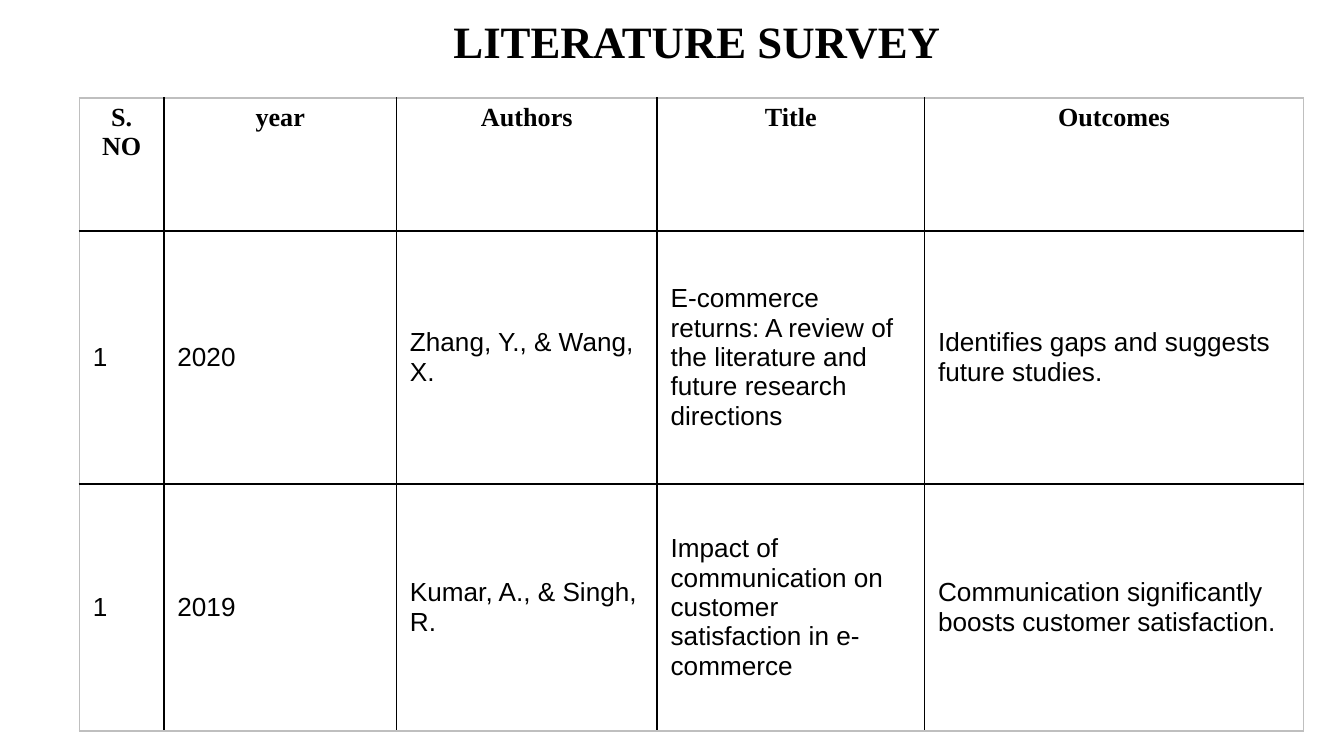
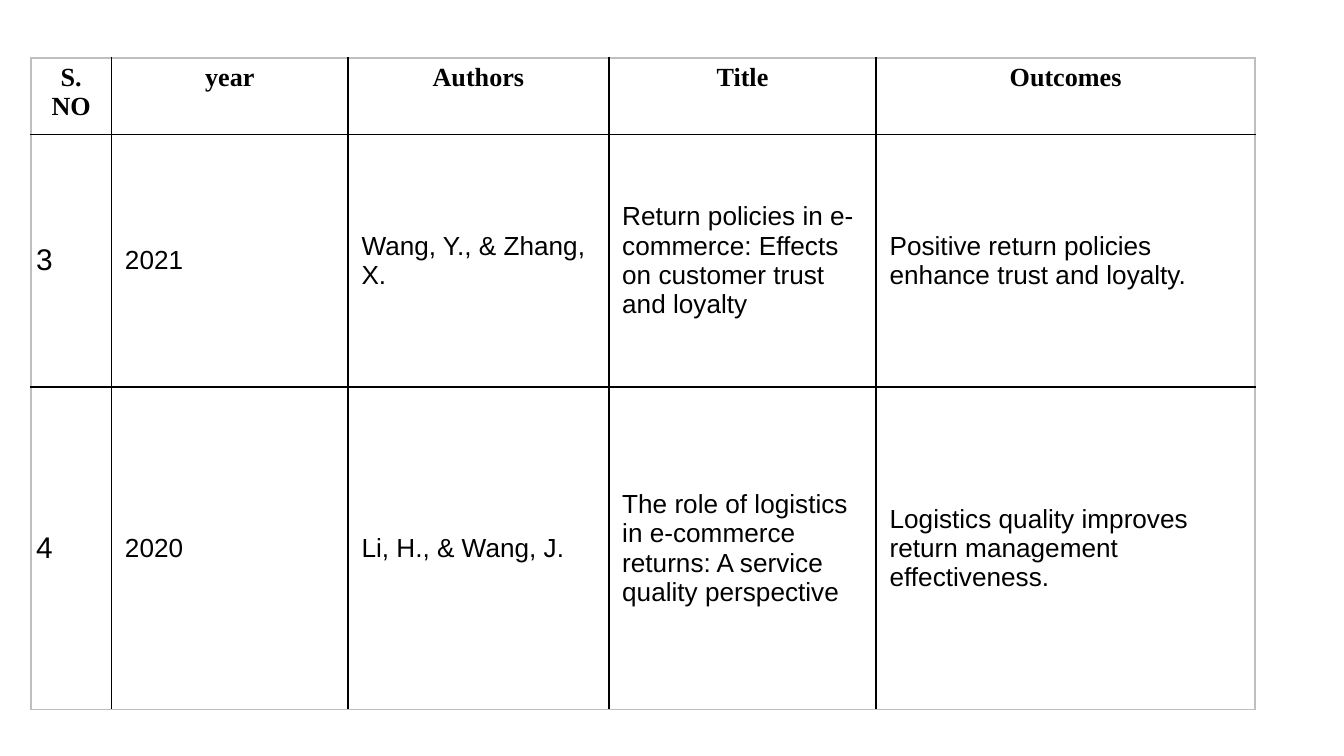
from lxml.etree import SubElement
from pptx import Presentation
from pptx.dml.color import RGBColor
from pptx.enum.text import MSO_ANCHOR, MSO_AUTO_SIZE, PP_ALIGN
from pptx.oxml.ns import qn
from pptx.util import Inches, Pt

COLORS = {"text": "000000", "grid": "000000", "frame": "BFBFBF"}
HEADING_FONT, BODY_FONT = "Times New Roman", "Arial"
HEADINGS = ["S. NO", "year", "Authors", "Title", "Outcomes"]
TITLE_ONLY, BLANK = 5, 6

FIRST_STUDIES = [
    ["1", "2020", "Zhang, Y., & Wang, X.",
     "E-commerce returns: A review of the literature and future research directions",
     "Identifies gaps and suggests future studies."],
    ["1", "2019", "Kumar, A., & Singh, R.",
     "Impact of communication on customer satisfaction in e-commerce",
     "Communication significantly boosts customer satisfaction."],
]
MORE_STUDIES = [
    ["3", "2021", "Wang, Y., & Zhang, X.",
     "Return policies in e-commerce: Effects on customer trust and loyalty",
     "Positive return policies enhance trust and loyalty."],
    ["4", "2020", "Li, H., & Wang, J.",
     "The role of logistics in e-commerce returns: A service quality perspective",
     "Logistics quality improves return management effectiveness."],
]


def write(frame, text, size=14, font=BODY_FONT, bold=False, align=PP_ALIGN.LEFT):
    paragraph = frame.paragraphs[0]
    paragraph.alignment = align
    run = paragraph.add_run()
    run.text = text
    run.font.size, run.font.name, run.font.bold = Pt(size), font, bold
    run.font.color.rgb = RGBColor.from_string(COLORS["text"])


def set_margins(cell, side, top):
    cell.margin_left = cell.margin_right = Inches(side)
    cell.margin_top = cell.margin_bottom = Inches(top)


def draw_borders(cell, outer_sides):
    """Rule all four sides of a cell, in the frame colour where it meets the table edge."""
    properties = cell._tc.get_or_add_tcPr()
    for side in "LRTB":
        line = SubElement(properties, qn(f"a:ln{side}"), w=str(Pt(1)))
        fill = SubElement(line, qn("a:solidFill"))
        color = COLORS["frame" if side in outer_sides else "grid"]
        SubElement(fill, qn("a:srgbClr"), val=color)
    cell.fill.background()


def add_title(slide, text, left, top, width, height):
    title = slide.shapes.title
    title.left, title.top = Inches(left), Inches(top)
    title.width, title.height = Inches(width), Inches(height)
    frame = title.text_frame
    frame.word_wrap = True
    frame.auto_size = MSO_AUTO_SIZE.NONE
    frame.vertical_anchor = MSO_ANCHOR.TOP
    # Optical offset of the heading inside its box
    frame.margin_left, frame.margin_top = Inches(0.19), Inches(0.1)
    write(frame, text, size=24, font=HEADING_FONT, bold=True, align=PP_ALIGN.CENTER)


def add_survey_table(slide, studies, left, top, widths, heights,
                     number_size=14, number_margins=(0.1, 0.05)):
    rows = [HEADINGS] + studies
    table = slide.shapes.add_table(
        len(rows), len(HEADINGS), Inches(left), Inches(top),
        Inches(sum(widths)), Inches(sum(heights))).table
    table.first_row = table.horz_banding = False
    for column, width in zip(table.columns, widths):
        column.width = Inches(width)
    for row, height in zip(table.rows, heights):
        row.height = Inches(height)

    last_row, last_column = len(rows) - 1, len(HEADINGS) - 1
    for r, values in enumerate(rows):
        for c, value in enumerate(values):
            cell = table.cell(r, c)
            edges = {"L": c == 0, "R": c == last_column, "T": r == 0, "B": r == last_row}
            draw_borders(cell, [side for side, outer in edges.items() if outer])
            # Heading row
            if r == 0:
                set_margins(cell, 0.08, 0.04)
                cell.vertical_anchor = MSO_ANCHOR.TOP
                write(cell.text_frame, value, font=HEADING_FONT, bold=True,
                      align=PP_ALIGN.CENTER)
                continue
            # Study rows, with the serial number in the first column
            set_margins(cell, *(number_margins if c == 0 else (0.1, 0.05)))
            cell.vertical_anchor = MSO_ANCHOR.MIDDLE
            write(cell.text_frame, value, size=number_size if c == 0 else 14)


def main():
    deck = Presentation()
    # Widescreen, 16:9
    deck.slide_width = Inches(10)
    deck.slide_height = Inches(10 * 9 / 16)

    # Opening survey slide
    opening = deck.slides.add_slide(deck.slide_layouts[TITLE_ONLY])
    add_title(opening, "LITERATURE SURVEY", 2.41, 0, 5.46, 0.73)
    add_survey_table(opening, FIRST_STUDIES, 0.59, 0.73,
                     [0.63, 1.73, 1.94, 1.99, 2.82], [0.99, 1.88, 1.84])

    # Continuation of the survey
    continuation = deck.slides.add_slide(deck.slide_layouts[BLANK])
    add_survey_table(continuation, MORE_STUDIES, 0.23, 0.43,
                     [0.6, 1.76, 1.94, 1.99, 2.82], [0.57, 1.88, 2.4],
                     number_size=16, number_margins=(0.04, 0.02))

    deck.save("out.pptx")


if __name__ == "__main__":
    main()
